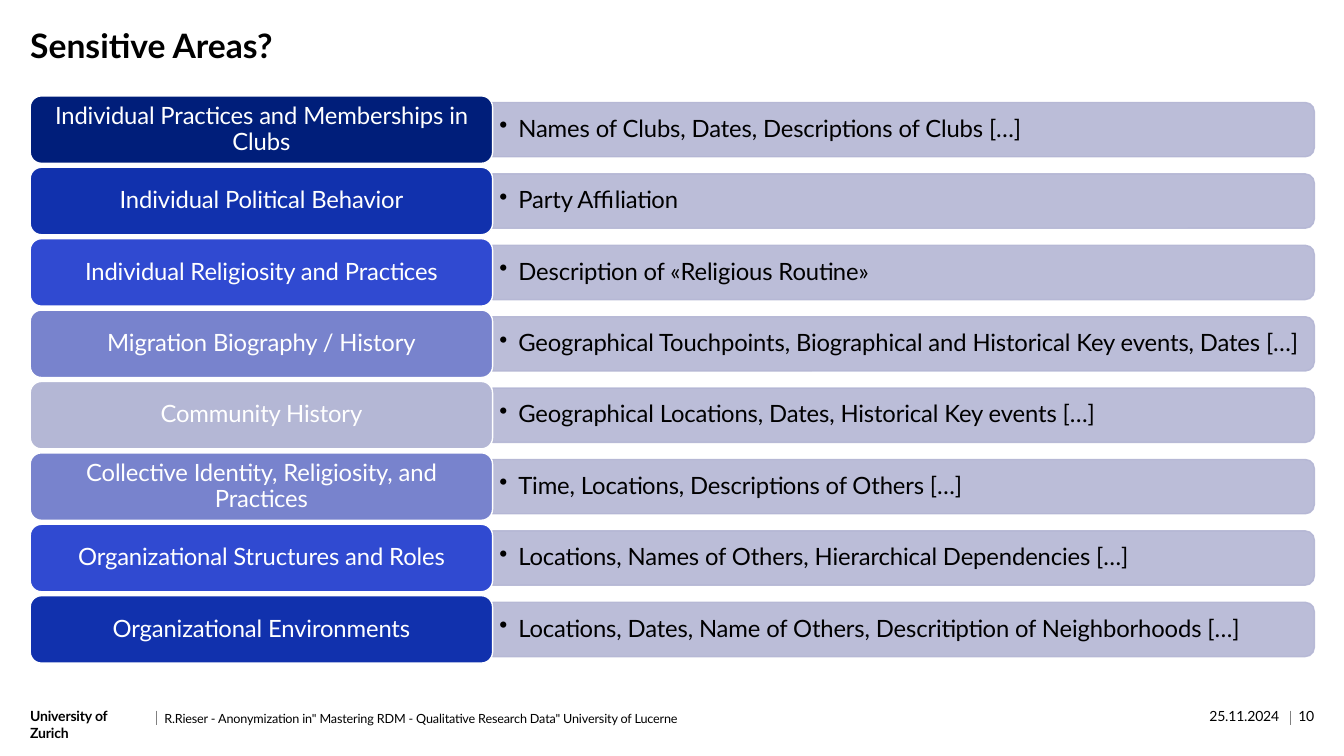
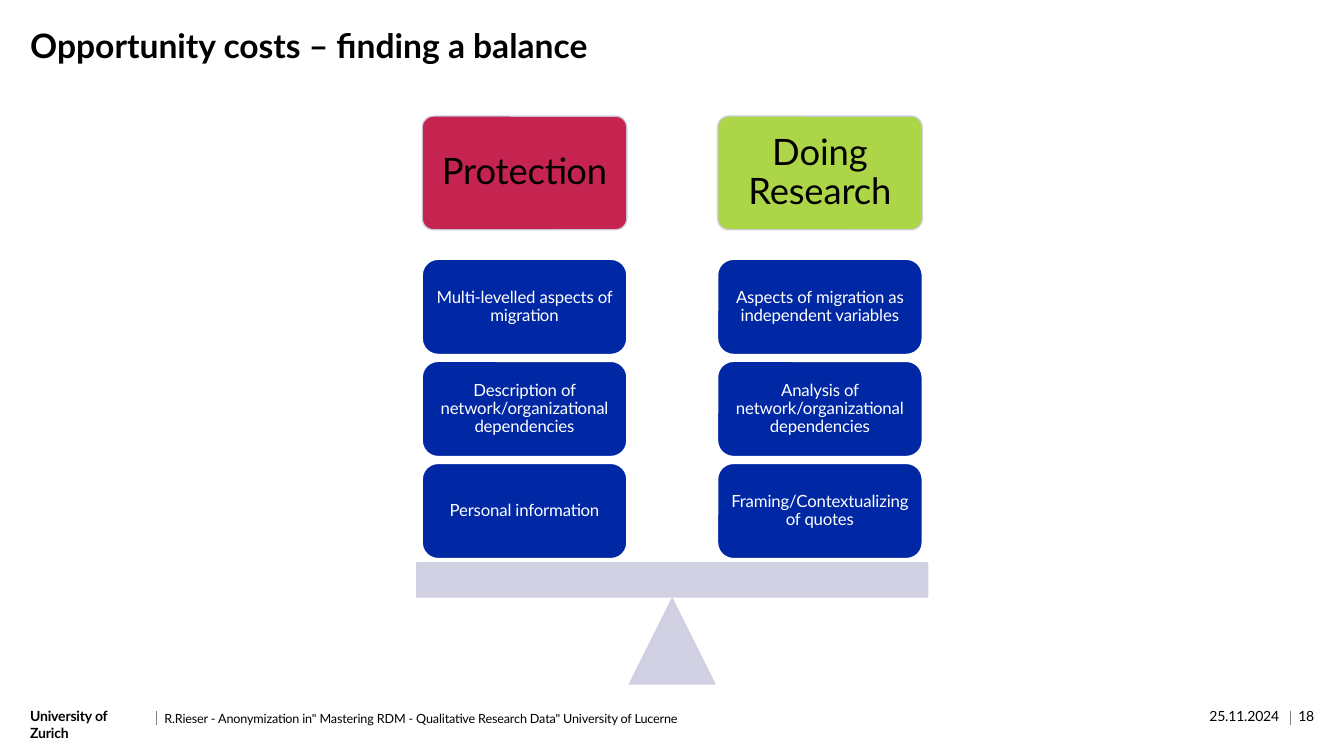
from lxml.etree import SubElement
from pptx import Presentation
from pptx.dml.color import RGBColor
from pptx.enum.shapes import MSO_CONNECTOR, MSO_SHAPE
from pptx.enum.text import MSO_ANCHOR, PP_ALIGN
from pptx.oxml.ns import qn
from pptx.util import Pt

FONT = "Lato"
BLACK, WHITE, GREY = "000000", "FFFFFF", "808080"
NAVY, ROYAL, VIVID, SOFT, PALE = "001E7A", "1131AD", "304AD1", "7883CD", "B4B7D5"
PLATE, SCALE, BLUE = "B4B6D4", "CCCDE1", "0028A5"
RED, GREEN = "BF0D3E", "A4D233"
LEFT, RIGHT = 21.6, 938.8

AREAS = [
    (NAVY, "Individual Practices and Memberships in Clubs",
     "Names of Clubs, Dates, Descriptions of Clubs […]"),
    (ROYAL, "Individual Political Behavior", "Party Affiliation"),
    (VIVID, "Individual Religiosity and Practices",
     "Description of «Religious Routine»"),
    (SOFT, "Migration Biography / History",
     "Geographical Touchpoints, Biographical and Historical Key events, Dates […]"),
    (PALE, "Community History",
     "Geographical Locations, Dates, Historical Key events […]"),
    (SOFT, "Collective Identity, Religiosity, and Practices",
     "Time, Locations, Descriptions of Others […]"),
    (VIVID, "Organizational Structures and Roles",
     "Locations, Names of Others, Hierarchical Dependencies […]"),
    (ROYAL, "Organizational Environments",
     "Locations, Dates, Name of Others, Descritiption of Neighborhoods […]"),
]

SIDES = [
    (RED, "Protection", [
        "Multi-levelled aspects of migration",
        "Description of network/organizational dependencies",
        "Personal information"]),
    (GREEN, "Doing Research", [
        "Aspects of migration as independent variables",
        "Analysis of network/organizational dependencies",
        "Framing/Contextualizing of quotes"]),
]


def paint(target, color, alpha=100):
    target.solid()
    target.fore_color.rgb = RGBColor.from_string(color)
    if alpha < 100:
        tint = target._xPr.find(".//" + qn("a:srgbClr"))
        SubElement(tint, qn("a:alpha"), val=str(alpha * 1000))


def write(shape, text, size=10, color=BLACK, bold=False, align=PP_ALIGN.LEFT,
          anchor=MSO_ANCHOR.TOP, space=0.98, track=-10, pad=(0, 0), bullet=False):
    frame = shape.text_frame
    frame.word_wrap = True
    frame.vertical_anchor = anchor
    frame.margin_left = frame.margin_right = Pt(pad[0])
    frame.margin_top = frame.margin_bottom = Pt(pad[1])
    para = frame.paragraphs[0]
    if bullet:
        props = para._p.get_or_add_pPr()
        props.set("marL", str(Pt(13.6)))
        props.set("indent", str(Pt(-13.6)))
        SubElement(props, qn("a:buChar"), char="•")
    para.alignment = align
    para.line_spacing = space
    run = para.add_run()
    run.text = text
    font = run.font
    font.name, font.size, font.bold = FONT, Pt(size), bold
    paint(font.fill, color)
    if track:
        run._r.get_or_add_rPr().set("spc", str(track))


def label(slide, text, x, y, w, h, **form):
    box = slide.shapes.add_textbox(Pt(x), Pt(y), Pt(w), Pt(h))
    write(box, text, **form)


def block(slide, kind, x, y, w, h, fill, edge=WHITE, alpha=100):
    shape = slide.shapes.add_shape(kind, Pt(x), Pt(y), Pt(w), Pt(h))
    shape.shadow.inherit = False
    paint(shape.fill, fill, alpha)
    paint(shape.line.fill, edge, alpha)
    shape.line.width = Pt(1)
    return shape


def card(slide, text, x, y, w, h, fill, size, pad, color=WHITE, round=None, **look):
    shape = block(slide, MSO_SHAPE.ROUNDED_RECTANGLE, x, y, w, h, fill, **look)
    if round:
        shape.adjustments[0] = round
    write(shape, text, size=size, color=color, pad=pad, space=0.9,
          align=PP_ALIGN.CENTER, anchor=MSO_ANCHOR.MIDDLE)


def tick(slide, x):
    line = slide.shapes.add_connector(
        MSO_CONNECTOR.STRAIGHT, Pt(x), Pt(507.6), Pt(x), Pt(517.7))
    paint(line.line.fill, GREY)
    line.line.width = Pt(0.5)
    SubElement(line._element.spPr, qn("a:effectLst"))


def start(deck, title, number):
    slide = deck.slides.add_slide(deck.slide_layouts[6])
    label(slide, title, LEFT, 19.4, RIGHT - LEFT, 49,
          size=24, bold=True, space=0.97, track=0)
    label(slide, "University of Zurich", LEFT, 506.2, 83.5, 11.5, bold=True)
    label(slide, 'R.Rieser - Anonymization in" Mastering RDM - Qualitative '
          'Research Data" University of Lucerne', 117.4, 508.3, 674.6, 10.8, size=9)
    label(slide, "25.11.2024", 820, 506.2, 93.7, 11.5, align=PP_ALIGN.RIGHT)
    label(slide, number, 922.2, 506.2, 16.6, 11.5, align=PP_ALIGN.RIGHT)
    for x in (111.6, 921.6):
        tick(slide, x)
    return slide


def list_areas(slide):
    top, pitch, wide, high = 68.5, 51, 330.3, 48.2
    edge, thick = LEFT + wide, 38.8
    span = RIGHT - edge
    for row, (fill, name, note) in enumerate(AREAS):
        y = top + row * pitch
        mid = y + high / 2
        plate = block(slide, MSO_SHAPE.ROUND_2_SAME_RECTANGLE,
                      edge + (span - thick) / 2, mid - span / 2, thick, span,
                      PLATE, edge=PLATE, alpha=90)
        plate.rotation = 90
        label(slide, note, edge, mid - 17.5, span - 2, 35, size=17, space=0.9,
              pad=(4.8, 2.7), anchor=MSO_ANCHOR.MIDDLE, bullet=True)
        card(slide, name, LEFT, y, wide, high, fill, 17, (4.8, 2.7))


def weigh(slide):
    wide, mid = 146.2, 480.2
    look = dict(edge=SCALE, alpha=90)
    block(slide, MSO_SHAPE.ISOSCELES_TRIANGLE, mid - 30.5, 427.6, 61, 61, SCALE, **look)
    block(slide, MSO_SHAPE.RECTANGLE, mid - 182.5, 402, 365, 24.5, SCALE, **look)
    for col, (fill, head, points) in enumerate(SIDES):
        x = 301.6 + col * 211
        card(slide, head, x, 82.9, wide, 81.2, fill, 26, (8, 8),
             color=BLACK, round=0.1, **look)
        for row, point in enumerate(points):
            card(slide, point, x, 185.2 + row * 72.9, wide, 68, BLUE, 12, (3.6, 3.6))


def main():
    deck = Presentation()
    deck.slide_width, deck.slide_height = Pt(960), Pt(540)
    list_areas(start(deck, "Sensitive Areas?", "10"))
    weigh(start(deck, "Opportunity costs – finding a balance", "18"))
    deck.save("out.pptx")


if __name__ == "__main__":
    main()
